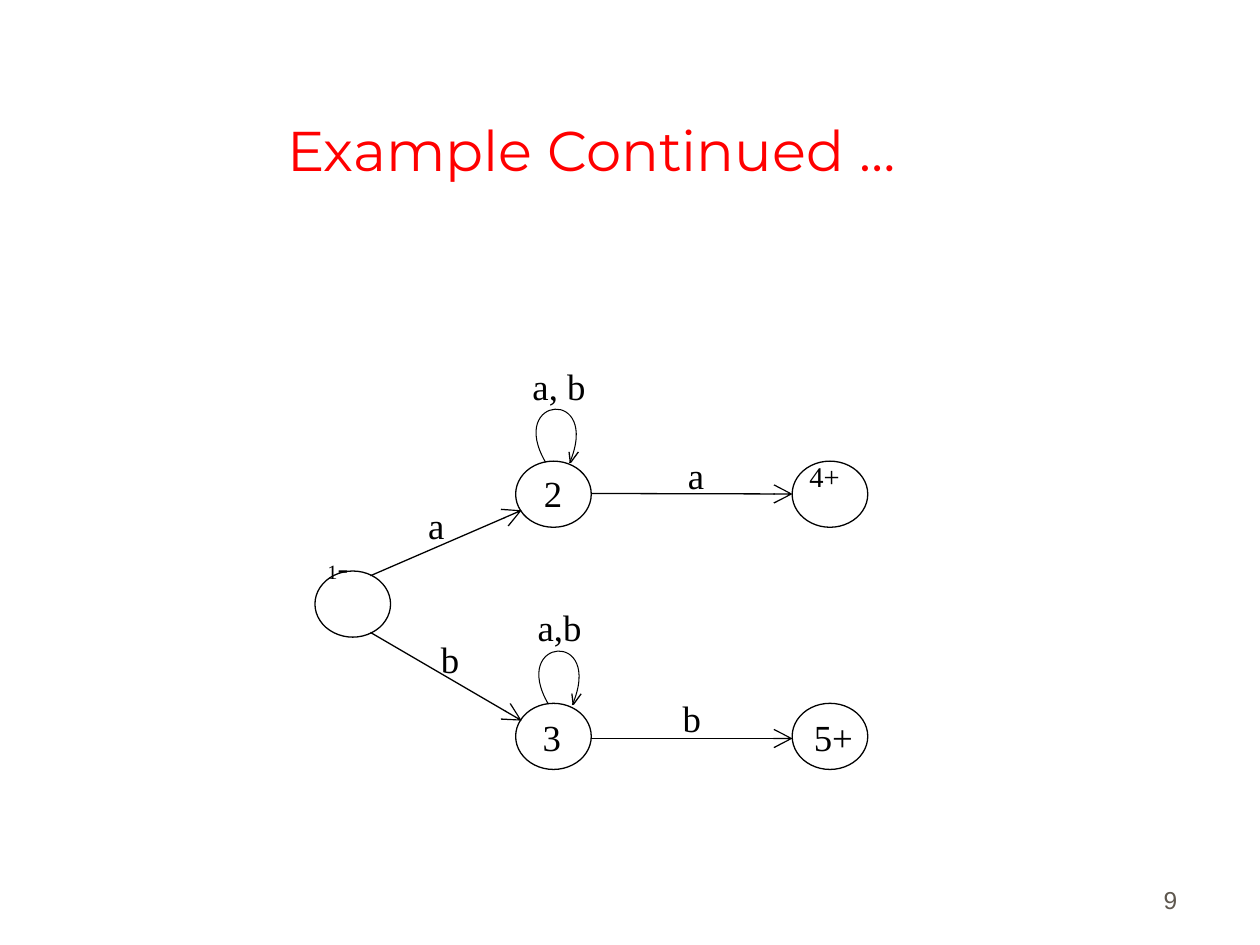
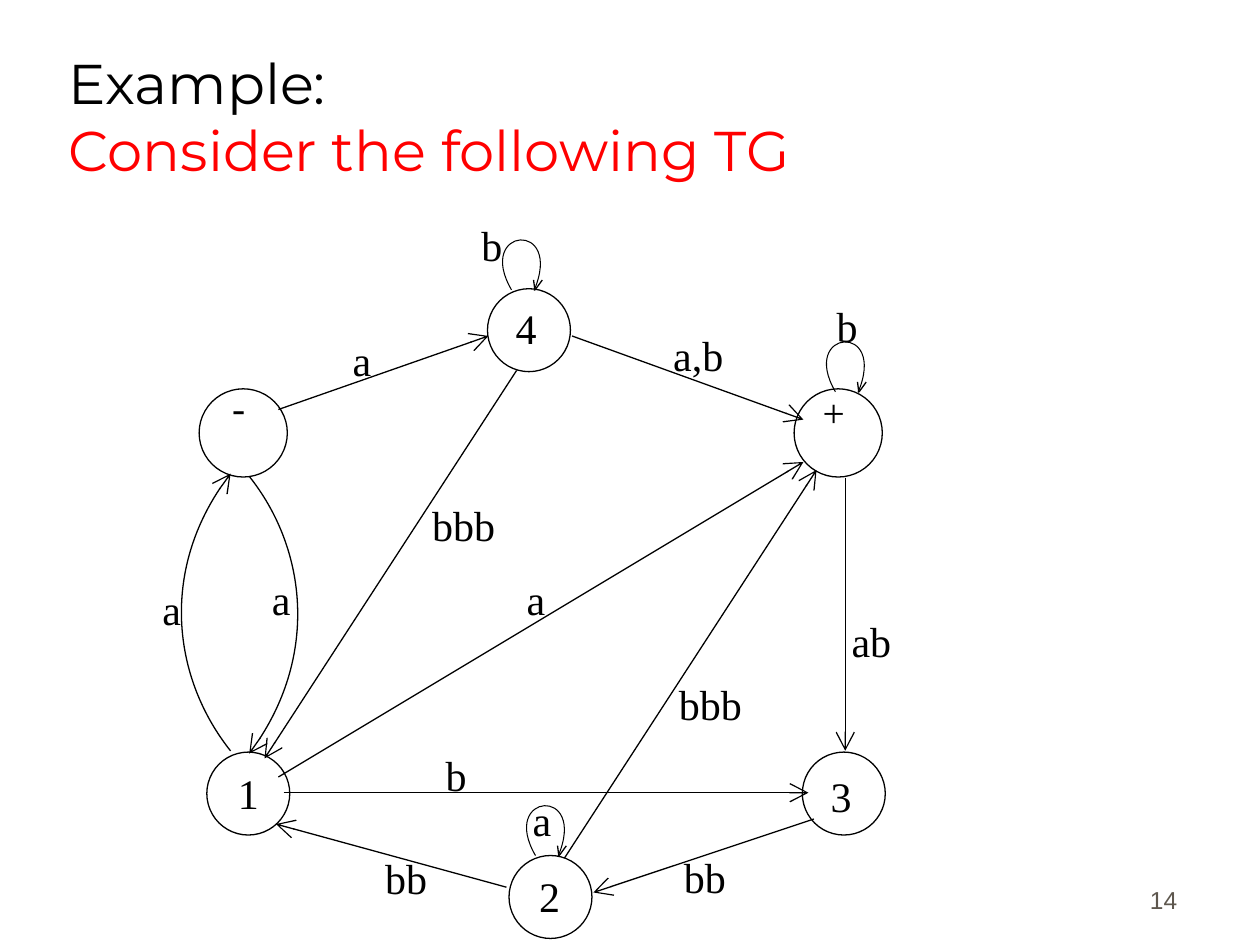
from dataclasses import dataclass

from pptx import Presentation
from pptx.dml.color import RGBColor
from pptx.enum.shapes import MSO_CONNECTOR, MSO_SHAPE
from pptx.enum.text import MSO_ANCHOR, MSO_AUTO_SIZE, PP_ALIGN
from pptx.oxml.ns import qn
from pptx.util import Pt
from lxml.etree import SubElement

COLORS = {
    "background": "FFFFFF",
    "ink": "000000",
    "accent": "FF0000",
    "page_number": "5E574E",
}
TITLE_FONT = "Montserrat"
LABEL_FONT = "Times New Roman"
NUMBER_FONT = "Arial"
EDGE_WIDTH = 0.75
LOOP_WIDTH = 0.6
LOOP_CURVE = ((0, 0), (-22.3, -38.2), (32, -42.8), (13.7, 0.4))
LOOP_BARBS = (((14.4, 0), (18.7, -5.9)), ((13.4, -6), (14.2, 0.4)))

Point = tuple[float, float]
Runs = tuple[tuple[str, float], ...]


@dataclass(frozen=True)
class State:
    left: float
    top: float
    width: float
    height: float


@dataclass(frozen=True)
class Edge:
    start: Point
    end: Point


@dataclass(frozen=True)
class Label:
    left: float
    top: float
    runs: Runs
    line_spacing: float = 1.0


@dataclass(frozen=True)
class Graph:
    states: list[State]
    edges: list[Edge]
    arcs: list[tuple[Point, ...]]
    loops: list[Point]
    loop_scale: float
    labels: list[Label]
    label_size: Point


def rgb(name: str) -> RGBColor:
    return RGBColor.from_string(COLORS[name])


def add_run(paragraph, text: str, font: str, size: float, color: str) -> None:
    run = paragraph.add_run()
    run.text = text
    run.font.name = font
    run.font.size = Pt(size)
    run.font.color.rgb = rgb(color)


def set_line(shape, width: float, arrow: bool = False) -> None:
    shape.line.color.rgb = rgb("ink")
    shape.line.width = Pt(width)
    if arrow:
        line = shape.element.spPr.find(qn("a:ln"))
        SubElement(line, qn("a:tailEnd"), type="arrow", w="lg", len="lg")


def add_state(slide, state: State) -> None:
    shape = slide.shapes.add_shape(
        MSO_SHAPE.OVAL, Pt(state.left), Pt(state.top), Pt(state.width), Pt(state.height)
    )
    shape.shadow.inherit = False
    shape.fill.solid()
    shape.fill.fore_color.rgb = rgb("background")
    set_line(shape, EDGE_WIDTH)


def add_edge(slide, edge: Edge) -> None:
    connector = slide.shapes.add_connector(
        MSO_CONNECTOR.STRAIGHT, *(Pt(value) for value in edge.start + edge.end)
    )
    set_line(connector, EDGE_WIDTH, arrow=True)
    SubElement(connector.element.spPr, qn("a:effectLst"))


def add_outline(slide, points: tuple[Point, ...], width: float):
    first, *rest = [(Pt(x), Pt(y)) for x, y in points]
    builder = slide.shapes.build_freeform(*first)
    builder.add_line_segments(rest, close=False)
    shape = builder.convert_to_shape()
    shape.shadow.inherit = False
    shape.fill.background()
    set_line(shape, width)
    return shape


def add_curve(slide, controls: tuple[Point, ...], width: float, arrow: bool) -> None:
    shape = add_outline(slide, controls, width)
    outline = next(shape.element.iter(qn("a:path")))
    segments = outline.findall(qn("a:lnTo"))
    curve = SubElement(outline, qn("a:cubicBezTo"))
    for segment in segments:
        curve.append(segment.find(qn("a:pt")))
        outline.remove(segment)
    set_line(shape, width, arrow)


def add_loop(slide, origin: Point, scale: float) -> None:
    def place(offsets: tuple[Point, ...]) -> tuple[Point, ...]:
        return tuple((origin[0] + scale * x, origin[1] + scale * y) for x, y in offsets)

    add_curve(slide, place(LOOP_CURVE), LOOP_WIDTH, arrow=False)
    for barb in LOOP_BARBS:
        add_outline(slide, place(barb), EDGE_WIDTH)


def add_text_box(slide, left: float, top: float, width: float, height: float):
    box = slide.shapes.add_textbox(Pt(left), Pt(top), Pt(width), Pt(height))
    box.text_frame.word_wrap = True
    return box.text_frame


def add_label(slide, label: Label, size: Point) -> None:
    paragraph = add_text_box(slide, label.left, label.top, *size).paragraphs[0]
    paragraph.line_spacing = label.line_spacing
    for text, font_size in label.runs:
        add_run(paragraph, text, LABEL_FONT, font_size, "ink")


def add_graph(slide, graph: Graph) -> None:
    for state in graph.states:
        add_state(slide, state)
    for edge in graph.edges:
        add_edge(slide, edge)
    for arc in graph.arcs:
        add_curve(slide, arc, EDGE_WIDTH, arrow=True)
    for loop in graph.loops:
        add_loop(slide, loop, graph.loop_scale)
    for label in graph.labels:
        add_label(slide, label, graph.label_size)


def add_titled_slide(presentation, title_lines, alignment, page_number: str):
    slide = presentation.slides.add_slide(presentation.slide_layouts[5])
    slide.background.fill.solid()
    slide.background.fill.fore_color.rgb = rgb("background")

    title = slide.shapes.title
    title.left, title.top, title.width, title.height = Pt(32), Pt(18), Pt(612), Pt(90)
    frame = title.text_frame
    frame.auto_size = MSO_AUTO_SIZE.NONE
    frame.vertical_anchor = MSO_ANCHOR.BOTTOM
    paragraph = frame.paragraphs[0]
    paragraph.alignment = alignment
    for index, (text, color) in enumerate(title_lines):
        if index:
            paragraph.add_line_break()
        add_run(paragraph, text, TITLE_FONT, 32, color)

    frame = add_text_box(slide, 530, 490.3, 149.8, 36)
    frame.vertical_anchor = MSO_ANCHOR.BOTTOM
    frame.paragraphs[0].alignment = PP_ALIGN.RIGHT
    add_run(frame.paragraphs[0], page_number, NUMBER_FONT, 14, "page_number")
    return slide


def make_labels(size: float, items: list[tuple[str, float, float]]) -> list[Label]:
    return [Label(left, top, ((text, size),)) for text, left, top in items]


BRANCHING_GRAPH = Graph(
    states=[
        State(left, top, 43.2, 37.8)
        for left, top in [
            (180, 326.3), (294.7, 263.5), (294.7, 401.9), (452.7, 263.5), (452.7, 401.9),
        ]
    ],
    edges=[
        Edge((211.7, 329), (298.1, 291.6)),
        Edge((337.7, 282), (452.9, 282.3)),
        Edge((211.7, 361.4), (298.1, 411.8)),
        Edge((337.7, 422), (452.9, 422)),
    ],
    arcs=[],
    loops=[(311.8, 264.2), (313.4, 402.4)],
    loop_scale=1,
    labels=make_labels(21, [
        ("a", 237.6, 283.7),
        ("b", 244.8, 360.3),
        ("a", 386, 255.3),
        ("b", 383, 393.8),
        ("a, b", 297.2, 204.1),
        ("a,b", 300.2, 342),
        ("2", 303.8, 265.7),
        ("3", 303, 404.9),
        ("5+", 458, 405),
    ]) + [
        Label(180, 313.8, (("1", 11.6), ("-", 18.2)), 0.8),
        Label(455.4, 262.6, (("4+", 16.3),), 0.8),
    ],
    label_size=(50.4, 38.2),
)

TRANSITION_GRAPH = Graph(
    states=[
        State(left, top, diameter, diameter)
        for left, top, diameter in [
            (113.8, 222.2, 50.4),
            (453.8, 222.2, 50.4),
            (118.2, 429.8, 47.4),
            (290.9, 488.9, 47.4),
            (458.5, 429.8, 47.4),
            (278.6, 165, 47.4),
        ]
    ],
    edges=[
        Edge((159.1, 234), (279.1, 192)),
        Edge((326.9, 192), (459.1, 239.8)),
        Edge((162, 453), (462, 453)),
        Edge((465.1, 468), (339.1, 510)),
        Edge((289.4, 507), (157.7, 470.9)),
        Edge((159.1, 444), (459.1, 264)),
        Edge((483, 273), (483, 429)),
        Edge((295.2, 211.7), (151.2, 433.4)),
        Edge((322.6, 490.3), (466.6, 268.6)),
    ],
    arcs=[
        ((131.8, 429.1), (99.2, 388.1), (91.2, 322.6), (131.8, 270.7)),
        ((142.4, 272.2), (174.5, 312.5), (182.5, 378), (142.4, 430.6)),
    ],
    loops=[(477.4, 223.9), (292.3, 165.6), (306, 488.9)],
    loop_scale=0.94,
    labels=make_labels(24, [
        ("a", 194.4, 187.5),
        ("a,b", 377.6, 184.6),
        ("b", 268, 121.7),
        ("b", 471, 168.1),
        ("bbb", 239.8, 282),
        ("a", 85.7, 329.8),
        ("a", 148.3, 324),
        ("a", 293.8, 324),
        ("ab", 479.5, 348.1),
        ("bbb", 380.8, 384.1),
        ("b", 247.6, 424.8),
        ("a", 297.2, 450.3),
        ("bb", 213, 483.4),
        ("bb", 383.7, 483.1),
        ("1", 128.9, 435.2),
        ("2", 301, 493.9),
        ("3", 467.5, 436.6),
        ("4", 287.5, 169.5),
    ]) + [
        Label(125.5, 220.3, (("-", 22.5),), 0.8),
        Label(463, 223.2, (("+", 22.5),), 0.8),
    ],
    label_size=(78.5, 37.4),
)


def main() -> None:
    presentation = Presentation()
    presentation.slide_width, presentation.slide_height = Pt(720), Pt(540)
    slide = add_titled_slide(
        presentation, [("Example Continued …", "accent")], PP_ALIGN.CENTER, "9"
    )
    add_graph(slide, BRANCHING_GRAPH)
    slide = add_titled_slide(
        presentation,
        [("Example:", "ink"), ("Consider the following TG", "accent")],
        PP_ALIGN.LEFT,
        "14",
    )
    add_graph(slide, TRANSITION_GRAPH)
    presentation.save("out.pptx")


if __name__ == "__main__":
    main()
